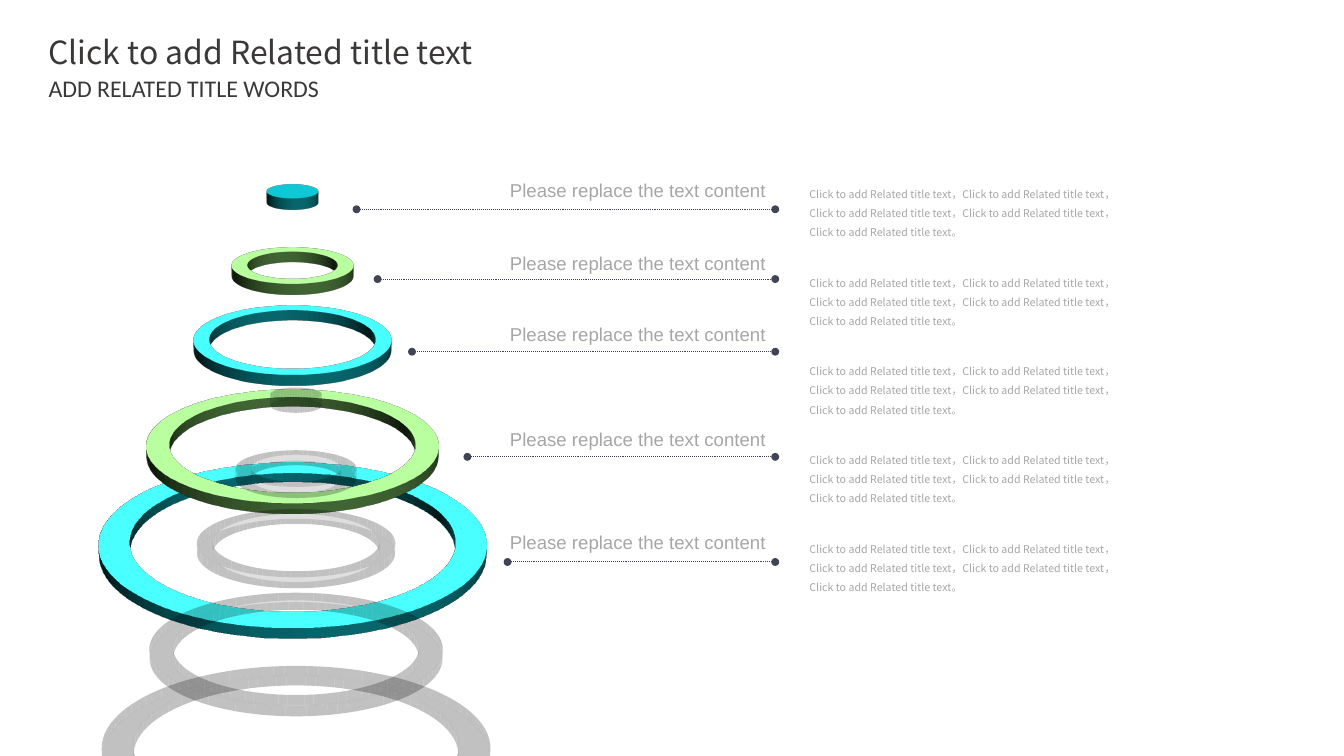
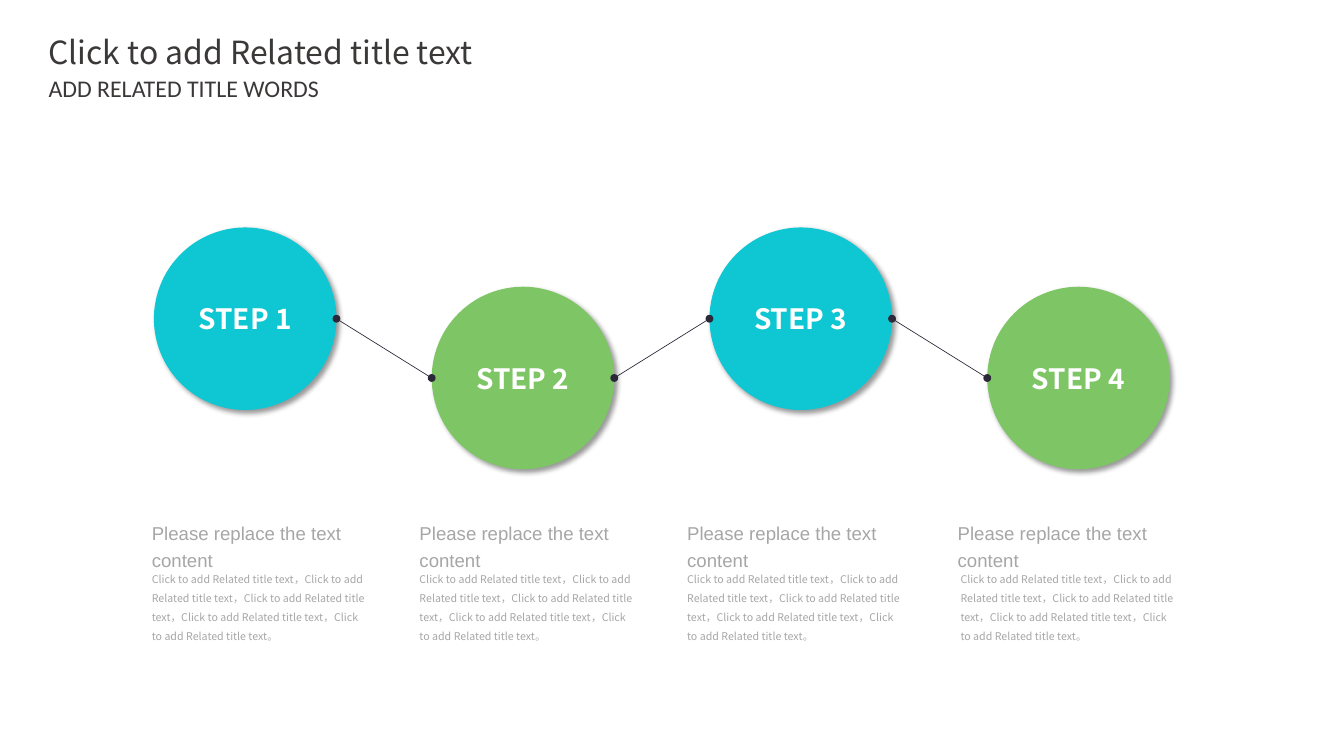
from lxml import etree
from pptx import Presentation
from pptx.dml.color import RGBColor
from pptx.enum.dml import MSO_LINE
from pptx.enum.shapes import MSO_CONNECTOR, MSO_SHAPE
from pptx.enum.text import MSO_ANCHOR, MSO_AUTO_SIZE, PP_ALIGN
from pptx.oxml import parse_xml
from pptx.oxml.ns import qn
from pptx.util import Inches, Pt

NS = 'xmlns:a="http://schemas.openxmlformats.org/drawingml/2006/main"'
DONUT, OVAL = MSO_SHAPE.DONUT, MSO_SHAPE.OVAL
STRAIGHT, DOTTED = MSO_CONNECTOR.STRAIGHT, MSO_LINE.ROUND_DOT
FIT, MIDDLE = MSO_AUTO_SIZE.SHAPE_TO_FIT_TEXT, MSO_ANCHOR.MIDDLE
LEFT, CENTER, RIGHT = PP_ALIGN.LEFT, PP_ALIGN.CENTER, PP_ALIGN.RIGHT

COLS, ROWS = 140.6, 79.1
COLORS = {"teal": "0FC7D3", "green": "7EC565", "title": "3B3838", "grey": "A6A6A6",
          "white": "FFFFFF", "leader": "414455", "link": "2B2939", "shadow": "000000"}
SANS = "Noto Sans CJK SC"
STYLES = {
    "title": {"size": 24, "name": SANS, "color": "title"},
    "subtitle": {"size": 18, "name": "Calibri", "color": "title"},
    "heading": {"size": 14, "name": "Arial", "color": "grey", "spacing": 1.2},
    "body": {"size": 8, "name": SANS, "color": "grey", "spacing": 1.5},
    "step": {"size": 21.1, "name": SANS, "color": "white", "bold": True},
}
RING_SHADOW = {"alpha": 13, "blur": 23, "dist": 153, "dir": 89}
STEP_SHADOW = {"alpha": 40, "blur": 4, "dist": 3, "dir": 45}

HEADING = "Please replace the text content"
BODY = "，".join(["Click to add Related title text"] * 5) + "。"


def cells(*values):
    """Turn grid cells into lengths."""
    return [Inches(v / 10) for v in values]


def rgb(color):
    """Look up a named colour."""
    return RGBColor.from_string(COLORS[color])


def write(tf, text, style, align=LEFT):
    """Fill a text frame with one styled paragraph."""
    fmt = dict(STYLES[style])
    p = tf.paragraphs[0]
    p.alignment = align
    p.line_spacing = fmt.pop("spacing", None)
    r = p.add_run()
    r.text = text
    r.font.color.rgb = rgb(fmt.pop("color"))
    fmt["size"] = Pt(fmt["size"])
    for key, value in fmt.items():
        setattr(r.font, key, value)
    etree.SubElement(r.font._element, qn("a:ea")).set("typeface", fmt["name"])


def add_text(s, box, text, style, align=LEFT, wrap=True):
    """Add a text box that grows with its text."""
    tf = s.shapes.add_textbox(*cells(*box)).text_frame
    tf.word_wrap = wrap
    tf.auto_size = FIT
    write(tf, text, style, align)


def add_round(s, kind, box, color, shadow):
    """Add a round shape with an outer shadow."""
    sp = s.shapes.add_shape(kind, *cells(*box))
    sp.shadow.inherit = False
    sp.fill.solid()
    sp.fill.fore_color.rgb = rgb(color)
    sp.line.fill.background()
    sp._element.spPr.find(qn("a:effectLst")).append(parse_xml(
        f'<a:outerShdw {NS} blurRad="{Pt(shadow["blur"])}" dist="{Pt(shadow["dist"])}" '
        f'dir="{shadow["dir"] * 60000}" algn="ctr" rotWithShape="0">'
        f'<a:srgbClr val="{COLORS["shadow"]}"><a:alpha val="{shadow["alpha"] * 1000}"/>'
        '</a:srgbClr></a:outerShdw>'))
    return sp


def add_depth(sp, lift, tilt=295, depth=8):
    """Tilt a shape back, lift it off its plane and give it thickness."""
    for xml in (
            f'<a:scene3d {NS}><a:camera prst="perspectiveRelaxed">'
            f'<a:rot lat="{tilt * 60000}" lon="0" rev="0"/></a:camera>'
            '<a:lightRig rig="threePt" dir="t"/></a:scene3d>',
            f'<a:sp3d {NS} z="{Pt(lift)}" extrusionH="{Pt(depth)}"/>'):
        sp._element.spPr.append(parse_xml(xml))


def add_dotted_ends(s, ends, color, width, dash=None):
    """Add a line with a round dot at both ends."""
    c = s.shapes.add_connector(STRAIGHT, *cells(*ends))
    c.line.color.rgb = rgb(color)
    c.line.width = Pt(width)
    if dash:
        c.line.dash_style = dash
    ln = c._element.spPr.find(qn("a:ln"))
    for end in ("a:headEnd", "a:tailEnd"):
        etree.SubElement(ln, qn(end)).set("type", "oval")
    etree.SubElement(c._element.spPr, qn("a:effectLst"))


def add_title(s, left=4.1, top=2.9):
    """Place the title and the subtitle."""
    add_text(s, (left, top, 48.6, 5.1), "Click to add Related title text", "title", wrap=False)
    add_text(s, (left, top + 4.3, 30.7, 4.1), "ADD RELATED TITLE WORDS", "subtitle", wrap=False)


def add_rings(s, left, top, width):
    """Stack tilted rings around the middle of the box, largest first."""
    rings = [(40.2, 0, 0.08, 0), (29.9, 1.7, 0.08, 50), (19.9, 2.6, 0.08, 100),
             (11.9, 5.9, 0.13, 150), (5, 7, None, 187)]
    for i, (size, drop, hole, lift) in enumerate(rings):
        box = (left + (width - size) / 2, top + drop, size, size)
        color = ("teal", "green")[i % 2]
        sp = add_round(s, DONUT if hole else OVAL, box, color, RING_SHADOW)
        if hole:
            sp.adjustments[0] = hole
        else:
            sp._element.spPr.find(qn("a:xfrm")).set("flipV", "1")
        add_depth(sp, lift)


def add_labels(s, left, top, width):
    """Place the leaders, their headings and the column of body text."""
    rows = [(37.3, 4.1, 0), (39.5, 11.4, 7.6), (43.1, 19, 15),
            (48.9, 30, 26), (53.1, 41, 36.8)]
    right = left + width
    for i, (start, line, head) in enumerate(rows):
        add_dotted_ends(s, (start, top + line, right, top + line), "leader", 0.75, DOTTED)
        add_text(s, (left, top + head, width, 3.6), HEADING, "heading", RIGHT, wrap=False)
        add_text(s, (right + 2.6, top + 0.7 + 9.28 * i, 35.4, 6.8), BODY, "body")


def add_steps(s, left, top, size=19.1, pitch=29.06, drop=6.2):
    """Place the step circles in a zigzag and link them."""
    spots = [(left + i * pitch, top + i % 2 * drop) for i in range(4)]
    for i, (x, y) in enumerate(spots):
        color = ("teal", "green")[i % 2]
        tf = add_round(s, OVAL, (x, y, size, size), color, STEP_SHADOW).text_frame
        tf.vertical_anchor = MIDDLE
        write(tf, f"STEP {i + 1}", "step", CENTER)
    for (x1, y1), (x2, y2) in zip(spots, spots[1:]):
        add_dotted_ends(s, (x1 + size, y1 + size / 2, x2, y2 + size / 2), "link", 0.5)


def add_captions(s, top):
    """Place a heading and body text under each step."""
    for head, body in [(14.9, 14.9), (42.9, 42.9), (70.9, 70.9), (99.2, 99.5)]:
        add_text(s, (head, top, 26.6, 6.5), HEADING, "heading")
        add_text(s, (body, top + 5.1, 24.4, 8.9), BODY, "body")


def rings_slide(s):
    """Build the slide of stacked rings."""
    add_rings(s, 10.5, 35.9, 40.2)
    add_labels(s, 52.2, 17.8, 28.9)


def steps_slide(s):
    """Build the slide of four steps."""
    add_steps(s, 16.1, 23.8)
    add_captions(s, 53.7)


def main():
    """Build and save the deck."""
    prs = Presentation()
    prs.slide_width, prs.slide_height = cells(COLS, ROWS)
    for build in (rings_slide, steps_slide):
        s = prs.slides.add_slide(prs.slide_layouts[6])
        build(s)
        add_title(s)
    prs.save("out.pptx")


if __name__ == "__main__":
    main()
